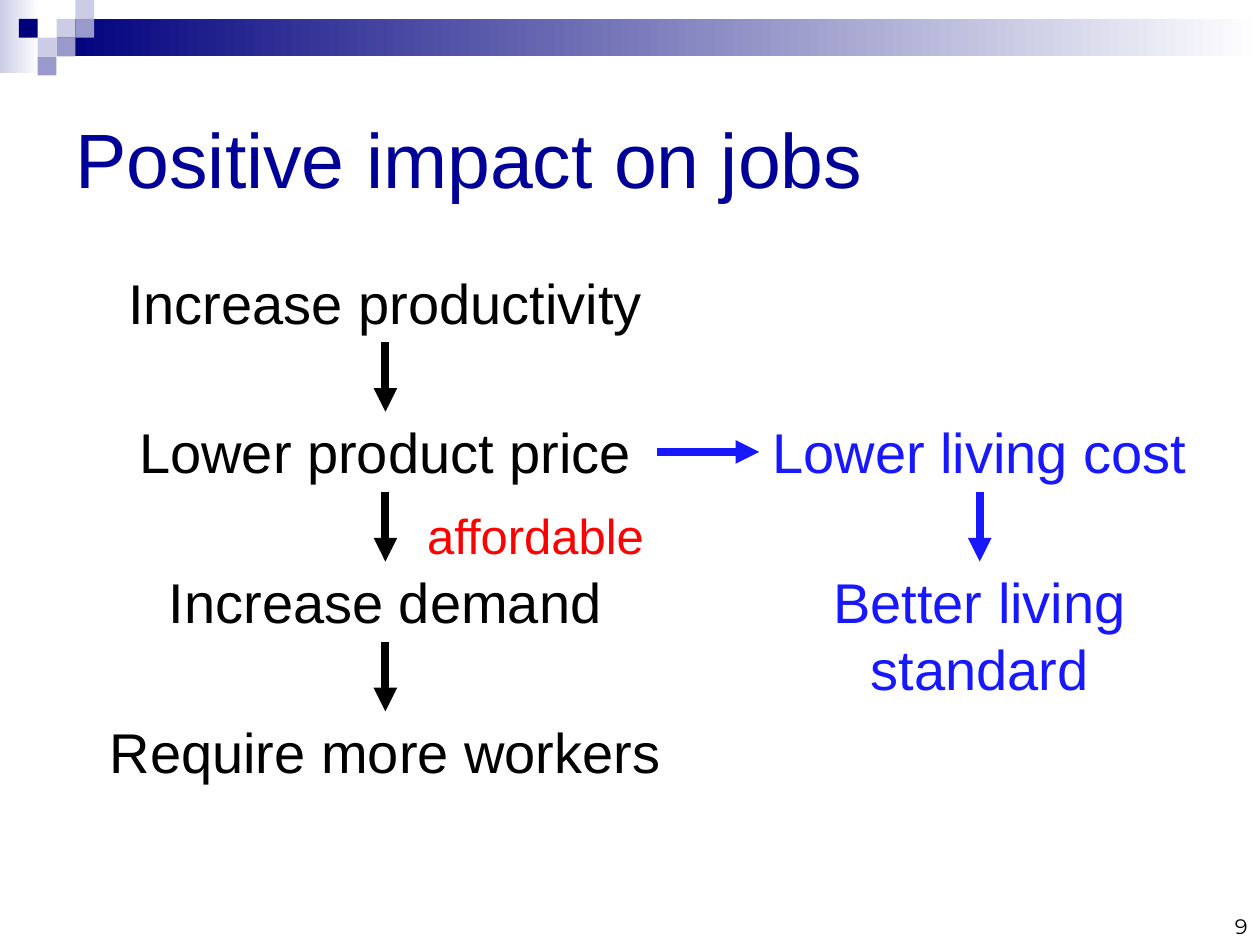
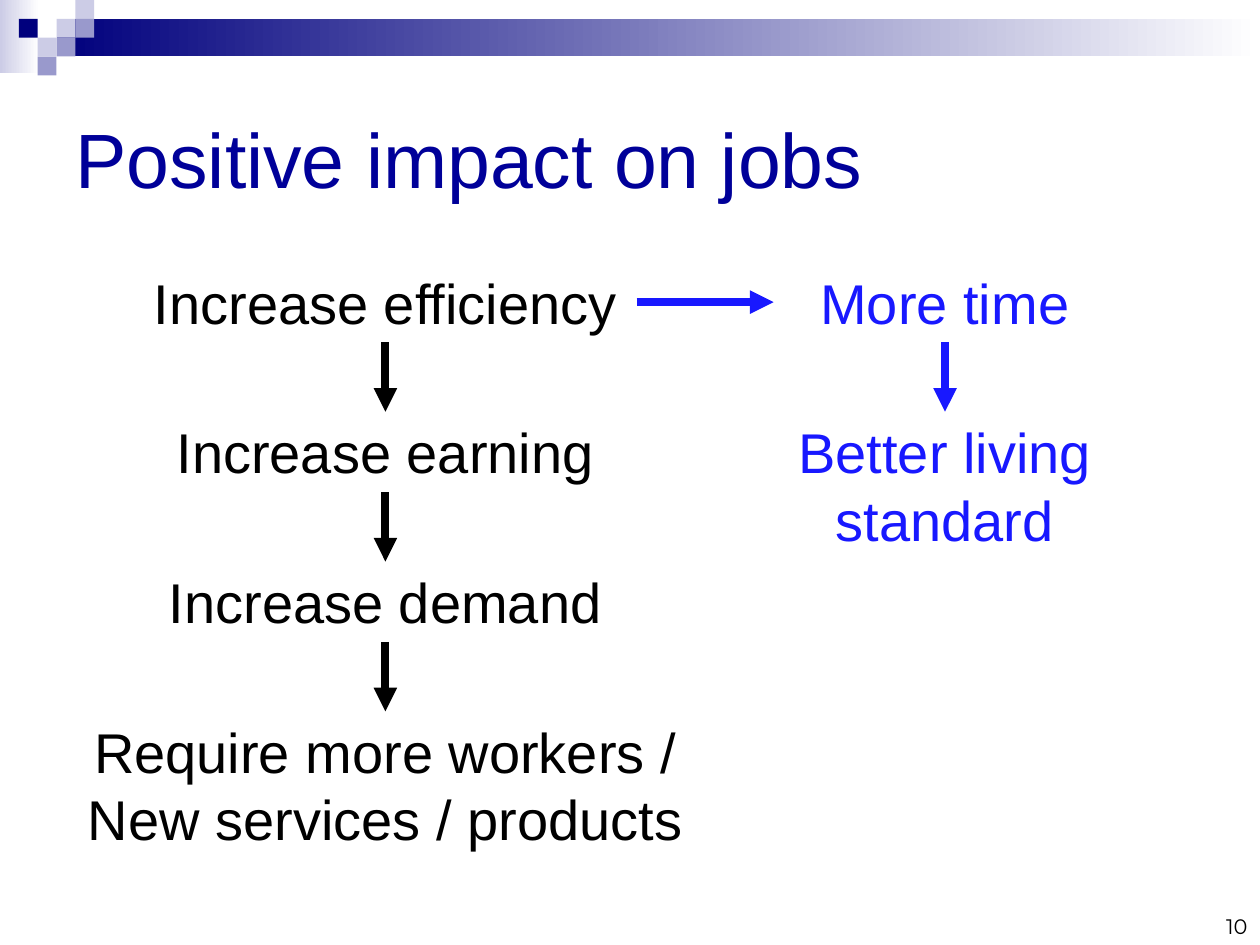
from pptx import Presentation
from pptx.dml.color import RGBColor
from pptx.enum.shapes import MSO_CONNECTOR, MSO_SHAPE
from pptx.enum.text import MSO_ANCHOR, PP_ALIGN
from pptx.oxml.ns import qn
from pptx.util import Cm, Pt
from lxml.etree import SubElement

NAVY = RGBColor(0x00, 0x00, 0x7D)
INK = RGBColor(0x00, 0x00, 0x99)
PALE = RGBColor(0xCC, 0xCC, 0xE6)
MID = RGBColor(0x99, 0x99, 0xCC)
WHITE = RGBColor(0xFF, 0xFF, 0xFF)
BLACK = RGBColor(0x00, 0x00, 0x00)
BLUE = RGBColor(0x18, 0x18, 0xFF)
RED = RGBColor(0xFF, 0x00, 0x00)

WIDE, HIGH = 25.4, 19.05
TILE = 0.38
TOP, LEFT, BOTTOM, RIGHT = range(4)
TILES = [(3, 1, PALE), (4, 0, PALE), (4, 1, MID), (2, 2, PALE),
         (1, 1, NAVY), (3, 2, MID), (2, 3, MID)]  # column, row, colour

# Flow grid: first row, row pitch, centre of the main column
ROW, PITCH, MAIN = 5.28, 3.02, 7.77
LINE_H, PAIR_H, MAIN_W = 1.62, 3.05, 10.95


def put_text(slide, box, lines, size, color, align=PP_ALIGN.CENTER,
             anchor=MSO_ANCHOR.TOP, font="Arial", wrap=False):
    shape = slide.shapes.add_textbox(*map(Cm, box))
    frame = shape.text_frame
    frame.word_wrap = wrap
    frame.vertical_anchor = anchor
    if not wrap:
        frame.margin_left = frame.margin_right = 0
    frame.text = lines
    for par in frame.paragraphs:
        par.alignment = align
        par.font.name = font
        par.font.size = Pt(size)
        par.font.color.rgb = color
    return shape


def put_rect(slide, box, color, fade=False):
    shape = slide.shapes.add_shape(MSO_SHAPE.RECTANGLE, *map(Cm, box))
    shape.shadow.inherit = False
    shape.line.fill.background()
    if fade:
        shape.fill.gradient()
        shape.fill.gradient_angle = 0
        for stop, tone, spot in zip(shape.fill.gradient_stops, (color, WHITE), (0, 1)):
            stop.color.rgb = tone
            stop.position = spot
    else:
        shape.fill.solid()
        shape.fill.fore_color.rgb = color


def add_band(slide, x, y, w):
    """Fading bar with a mosaic of tiles at its left end."""
    put_rect(slide, (x, y, 0.79, 1.47), PALE, fade=True)
    start = 3 * TILE
    put_rect(slide, (x + start, y + TILE, w - start, 2 * TILE), NAVY, fade=True)
    for col, row, color in TILES:
        put_rect(slide, (x + col * TILE, y + row * TILE, TILE, TILE), color)


def add_frame(deck, title, number):
    """New slide with band, title and page number."""
    slide = deck.slides.add_slide(deck.slide_layouts[6])
    add_band(slide, 0, 0, WIDE)
    put_text(slide, (1.27, 1.27, 22.86, 3.81), title, 44, INK,
             PP_ALIGN.LEFT, MSO_ANCHOR.MIDDLE, wrap=True)
    put_text(slide, (WIDE - 5.92, HIGH - 1.27, 5.92, 1.27), str(number), 12, BLACK,
             PP_ALIGN.RIGHT, MSO_ANCHOR.BOTTOM, "Montserrat", wrap=True)
    return slide


def add_step(slide, mid, row, w, lines, color):
    """One step of the flow, centred on mid in the given row."""
    high = PAIR_H if "\n" in lines else LINE_H
    box = (mid - w / 2, ROW + row * PITCH, w, high)
    return put_text(slide, box, lines, 32, color)


def link(slide, a, b, color, across=False, inset=0):
    """Arrow from a to b; inset starts it inside the right edge of a."""
    line = slide.shapes.add_connector(
        MSO_CONNECTOR.STRAIGHT, a.left + a.width - Cm(inset),
        a.top + a.height // 2, b.left, b.top)
    if not inset:
        line.begin_connect(a, RIGHT if across else BOTTOM)
    line.end_connect(b, LEFT if across else TOP)
    line.line.color.rgb = color
    line.line.width = Pt(4.5)
    SubElement(line.line._get_or_add_ln(), qn("a:tailEnd"), type="triangle")
    SubElement(line._element.spPr, qn("a:effectLst"))


def add_chain(slide, mid, row, steps, color):
    """Column of (text, width) steps joined by downward arrows."""
    shapes = [add_step(slide, mid, row + i, w, lines, color)
              for i, (lines, w) in enumerate(steps)]
    for a, b in zip(shapes, shapes[1:]):
        link(slide, a, b, color)
    return shapes


def add_price(deck):
    slide = add_frame(deck, "Positive impact on jobs", 9)
    main = add_chain(slide, MAIN, 0, [
        ("Increase productivity", MAIN_W), ("Lower product price", MAIN_W),
        ("Increase demand", MAIN_W), ("Require more workers", 11.5)], BLACK)
    side = add_chain(slide, 19.75, 1, [
        ("Lower living cost", 8.89), ("Better living\nstandard", 8.89)], BLUE)
    link(slide, main[1], side[0], BLUE, across=True)
    # Remark beside the second arrow
    put_text(slide, (8.33, 10.06, 4.93, 1.3), "affordable", 28, RED)


def add_time(deck):
    slide = add_frame(deck, "Positive impact on jobs", 10)
    main = add_chain(slide, MAIN, 0, [
        ("Increase efficiency", MAIN_W), ("Increase earning", MAIN_W),
        ("Increase demand", MAIN_W),
        ("Require more workers /\nNew services / products", 12.4)], BLACK)
    side = add_chain(slide, 19.05, 0, [
        ("More time", 6.91), ("Better living\nstandard", 8.56)], BLUE)
    link(slide, main[0], side[0], BLUE, across=True, inset=0.41)


def main():
    deck = Presentation()
    deck.slide_width, deck.slide_height = Cm(WIDE), Cm(HIGH)
    add_price(deck)
    add_time(deck)
    deck.save("out.pptx")


if __name__ == "__main__":
    main()
